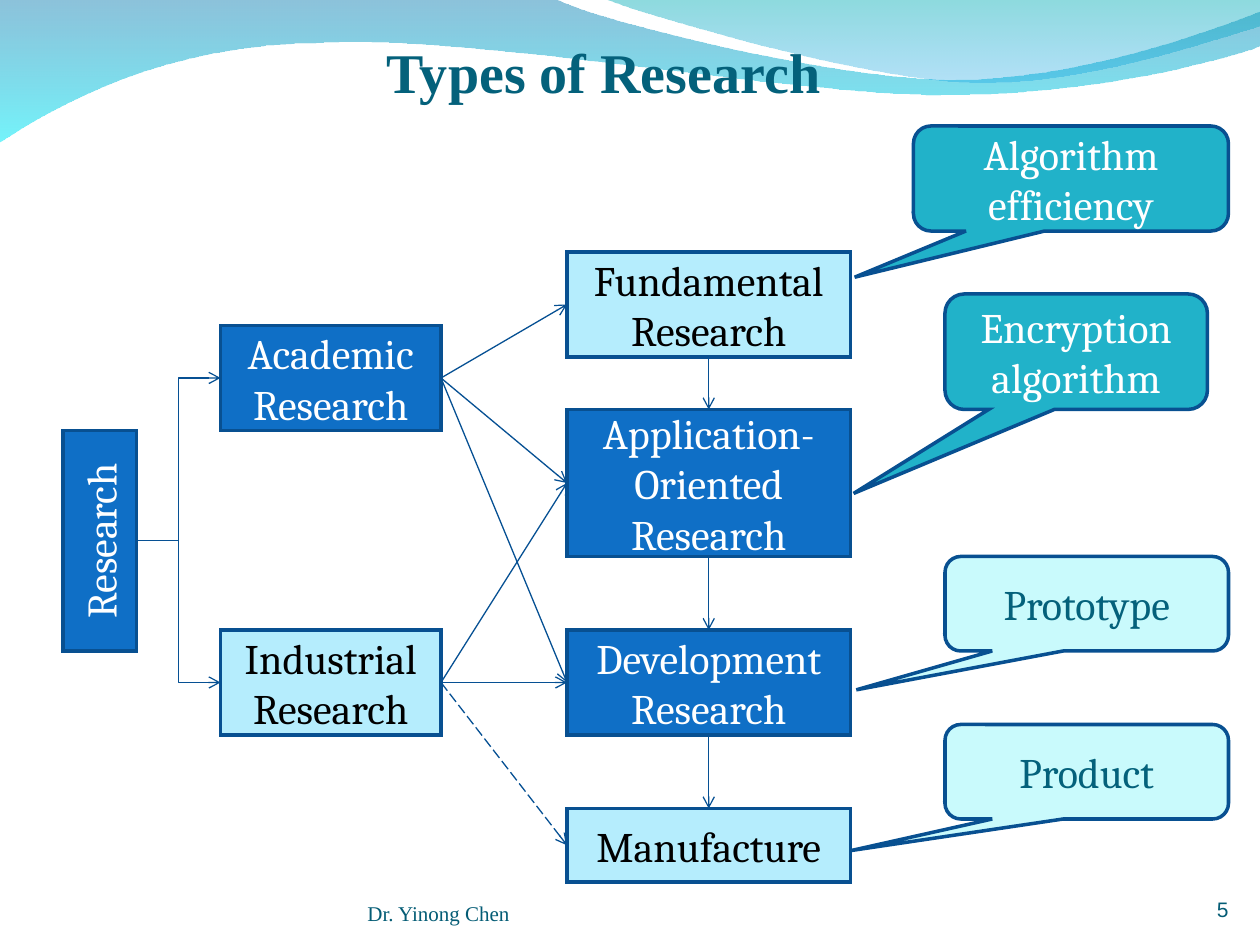
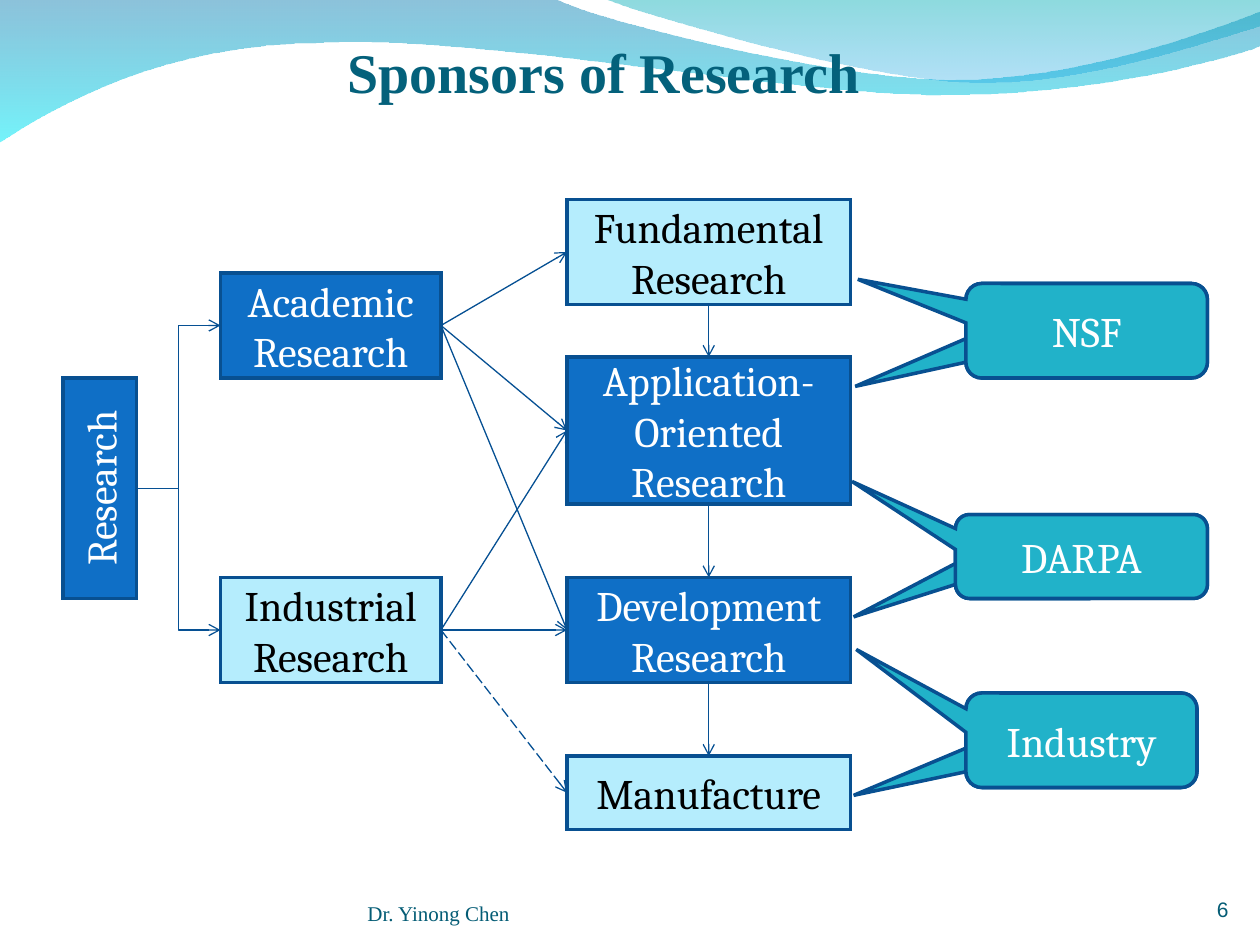
from dataclasses import dataclass

from lxml.etree import SubElement
from pptx import Presentation
from pptx.dml.color import RGBColor
from pptx.enum.dml import MSO_LINE
from pptx.enum.shapes import MSO_CONNECTOR, MSO_SHAPE
from pptx.enum.text import MSO_ANCHOR, MSO_AUTO_SIZE, PP_ALIGN
from pptx.oxml.ns import qn
from pptx.util import Emu, Inches, Pt


@dataclass(frozen=True)
class Theme:
    blue: str = "0F6FC6"
    pale: str = "B5EDFD"
    teal: str = "21B2C9"
    ice: str = "C9FAFC"
    outline: str = "085091"
    arrow: str = "065093"
    title: str = "04617B"
    footer: str = "045C75"
    white: str = "FFFFFF"
    black: str = "000000"
    serif: str = "Times New Roman"
    sans: str = "Arial"
    label_font: str = "Cambria"
    title_size: int = 32
    label_size: int = 24
    footer_size: int = 12


THEME = Theme()
COLUMNS, ROWS = 120, 90  # the slide's grid: cells of 1/12 inch
CELL = Inches(10) // COLUMNS
TEXT_ON = {THEME.blue: THEME.white, THEME.pale: THEME.black,
           THEME.teal: THEME.white, THEME.ice: THEME.title}

# Wave bands in inches: a pair is a line end, a six is a curve to its last point
WAVES = [
    ([(0, -0.01), (4.4, -0.01), (4.76, 0.17, 6.64, 0.63, 7.58, 0.63),
      (8.53, 0.63, 9.58, 0.26, 10, 0.09), (10.01, 0.36),
      (9.83, 0.44, 8.7, 0.76, 7.46, 0.75), (6.22, 0.75, 3.82, 0.28, 2.57, 0.34),
      (1.29, 0.35, 0.46, 0.83, -0.01, 1.13)],
     [("0079AF", 45), ("00EBF8", 55)]),
    ([(4.79, -0.01), (5.09, 0.11, 6.82, 0.62, 7.69, 0.65),
      (8.56, 0.69, 9.61, 0.32, 10, 0.21), (10, 0)],
     [("00ADB6", 45), ("009BE5", 30)]),
]

# Boxes: column, row, columns, rows, fill; rows are those of the first slide
BRANCHES = {
    "Academic Research": (21, 31, 21, 10, THEME.blue),
    "Industrial Research": (21, 60, 21, 10, THEME.pale),
}
STAGES = {
    "Fundamental Research": (54, 24, 27, 10, THEME.pale),
    "Application-Oriented Research": (54, 39, 27, 14, THEME.blue),
    "Development Research": (54, 60, 27, 10, THEME.blue),
    "Manufacture": (54, 77, 27, 7, THEME.pale),
}
ROOT = (-1, 48, 21, 7, THEME.blue)
# Which stages each branch reaches, by position
REACH = {"Academic Research": (0, 1, 2), "Industrial Research": (1, 2, 3)}

# Callouts: label, place on the grid, fill, tip
EXAMPLES = [
    ("Algorithm efficiency", (87, 12, 30, 10), THEME.teal, (81.4, 26.4)),
    ("Encryption algorithm", (90, 28, 25, 11), THEME.teal, (81.3, 47)),
    ("Prototype", (90, 53, 27, 9), THEME.ice, (81.55, 65.7)),
    ("Product", (90, 69, 27, 9), THEME.ice, (81.1, 81)),
]
# Sponsors: label, place on the grid, lower tip, upper tip
SPONSORS = [
    ("NSF", (92, 27, 23, 9), (81.45, 36.8), (81.7, 26.6)),
    ("DARPA", (91, 49, 24, 8), (81.3, 58.75), (81.15, 45.85)),
    ("Industry", (92, 66, 22, 9), (81.3, 75.75), (81.55, 61.85)),
]


def cells(*counts):
    return [Emu(round(count * CELL)) for count in counts]


def apply(target, formats):
    for name, value in formats.items():
        setattr(target, name, value)


def write(shape, text, font, size, color, bold=False,
          align=PP_ALIGN.CENTER, anchor=MSO_ANCHOR.MIDDLE, insets=(0.1, 0.05, 0.1, 0.05)):
    left, top, right, bottom = map(Inches, insets)
    frame = shape.text_frame
    apply(frame, {"word_wrap": True, "auto_size": MSO_AUTO_SIZE.NONE,
                  "vertical_anchor": anchor, "margin_left": left, "margin_top": top,
                  "margin_right": right, "margin_bottom": bottom})
    para = frame.paragraphs[0]
    para.alignment = align
    span = para.add_run()
    span.text = text
    apply(span.font, {"name": font, "size": Pt(size), "bold": bold})
    span.font.color.rgb = RGBColor.from_string(color)


def add_label_shape(page, kind, text, place, fill):
    shape = page.shapes.add_shape(kind, *cells(*place))
    shape.shadow.inherit = False
    shape.fill.solid()
    shape.fill.fore_color.rgb = RGBColor.from_string(fill)
    shape.line.color.rgb = RGBColor.from_string(THEME.outline)
    shape.line.width = Pt(2)
    SubElement(shape.element.spPr.find(qn("a:ln")), qn("a:miter"), lim="800000")
    write(shape, text, THEME.label_font, THEME.label_size, TEXT_ON[fill])
    return shape


def add_box(page, text, place, shift):
    column, row, width, height, fill = place
    return add_label_shape(page, MSO_SHAPE.RECTANGLE, text,
                           (column, row + shift, width, height), fill)


def add_callout(page, text, place, fill, tip):
    left, top, width, height = place
    callout = add_label_shape(page, MSO_SHAPE.ROUNDED_RECTANGULAR_CALLOUT, text, place, fill)
    callout.adjustments[0] = (tip[0] - left) / width - 0.5
    callout.adjustments[1] = (tip[1] - top) / height - 0.5


def style_arrow(arrow, dashed=False):
    arrow.line.color.rgb = RGBColor.from_string(THEME.arrow)
    arrow.line.width = Pt(0.75)
    if dashed:
        arrow.line.dash_style = MSO_LINE.LONG_DASH
    properties = arrow.element.spPr
    SubElement(properties.find(qn("a:ln")), qn("a:tailEnd"), type="arrow")
    SubElement(properties, qn("a:effectLst"))


def join(page, source, source_side, target, target_side, dashed=False):
    arrow = page.shapes.add_connector(MSO_CONNECTOR.STRAIGHT, 0, 0, 0, 0)
    arrow.begin_connect(source, source_side)
    arrow.end_connect(target, target_side)
    style_arrow(arrow, dashed)


def add_elbow(page, start, target):
    end = (target.left, target.top + target.height // 2)
    arrow = page.shapes.add_connector(MSO_CONNECTOR.ELBOW, *start, *end)
    arrow.end_connect(target, 1)
    style_arrow(arrow)


def add_curved_outline(page, outline):
    """Build the outline from straight parts, then merge threes into curves."""
    points = [(Inches(part[i]), Inches(part[i + 1]))
              for part in outline for i in range(0, len(part), 2)]
    builder = page.shapes.build_freeform(*points[0])
    builder.add_line_segments(points[1:], close=True)
    shape = builder.convert_to_shape()
    segments = iter(list(shape.element.spPr.iter(qn("a:lnTo"))))
    for part in outline[1:]:
        segment = next(segments)
        if len(part) == 6:
            segment.tag = qn("a:cubicBezTo")
            for extra in (next(segments), next(segments)):
                segment.append(extra[0])
                extra.getparent().remove(extra)
    return shape


def add_waves_to_layout(page):
    """Draw the wave bands and move them behind everything on the layout."""
    for order, (outline, colors) in enumerate(WAVES):
        wave = add_curved_outline(page, outline)
        wave.shadow.inherit = False
        wave.line.fill.background()
        wave.fill.gradient()
        wave.fill.gradient_angle = 270
        for stop, (color, opacity) in zip(wave.fill.gradient_stops, colors):
            stop.color.rgb = RGBColor.from_string(color)
        for mark, (color, opacity) in zip(wave.element.spPr.iter(qn("a:srgbClr")), colors):
            SubElement(mark, qn("a:alpha"), val=str(opacity * 1000))
        wave.element.nvSpPr.cNvPr.set("id", str(101 + order))
        page.slide_layout.shapes.element.insert(2 + order, wave.element)


def add_page(deck, layout, title, number):
    page = deck.slides.add_slide(layout)
    heading = page.shapes.title
    apply(heading, dict(zip(("left", "top", "width", "height"), cells(26, 2, 63, 8))))
    write(heading, title, THEME.serif, THEME.title_size, THEME.title, bold=True,
          anchor=MSO_ANCHOR.BOTTOM, insets=(0, 0.05, 0, 0))
    # Footer line
    for text, place, font, align in (
            (number, (107, 83, 10, 4.8), THEME.sans, PP_ALIGN.RIGHT),
            ("Dr. Yinong Chen", (35, 83.4, 44, 4.8), THEME.serif, PP_ALIGN.LEFT)):
        box = page.shapes.add_textbox(*cells(*place))
        write(box, text, font, THEME.footer_size, THEME.footer, align=align,
              anchor=MSO_ANCHOR.BOTTOM, insets=(0, 0, 0, 0))
    return page


def add_research_tree(page, shift=0):
    root = add_box(page, "Research", ROOT, shift)
    root.rotation = 270
    branches = {text: add_box(page, text, place, shift) for text, place in BRANCHES.items()}
    stages = [add_box(page, text, place, shift) for text, place in STAGES.items()]

    # The root stands upright, so its right side is half its height from its centre
    root_side = (root.left + (root.width + root.height) // 2, root.top + root.height // 2)
    for branch in branches.values():
        add_elbow(page, root_side, branch)
    for upper, lower in zip(stages, stages[1:]):
        join(page, upper, 2, lower, 0)
    for text, reached in REACH.items():
        for index in reached:
            join(page, branches[text], 3, stages[index], 1, dashed=index == 3)


def main():
    deck = Presentation()
    deck.slide_width, deck.slide_height = cells(COLUMNS, ROWS)
    layout = deck.slide_layouts[5]

    # Types of research, with an example for each stage
    types = add_page(deck, layout, "Types of Research", "5")
    add_waves_to_layout(types)
    add_research_tree(types)
    for example in EXAMPLES:
        add_callout(types, *example)

    # Sponsors, each pointing at two stages
    sponsors = add_page(deck, layout, "Sponsors of Research", "6")
    add_research_tree(sponsors, shift=-5)
    for text, place, *tips in SPONSORS:
        for tip in tips:
            add_callout(sponsors, text, place, THEME.teal, tip)

    deck.save("out.pptx")


if __name__ == "__main__":
    main()
